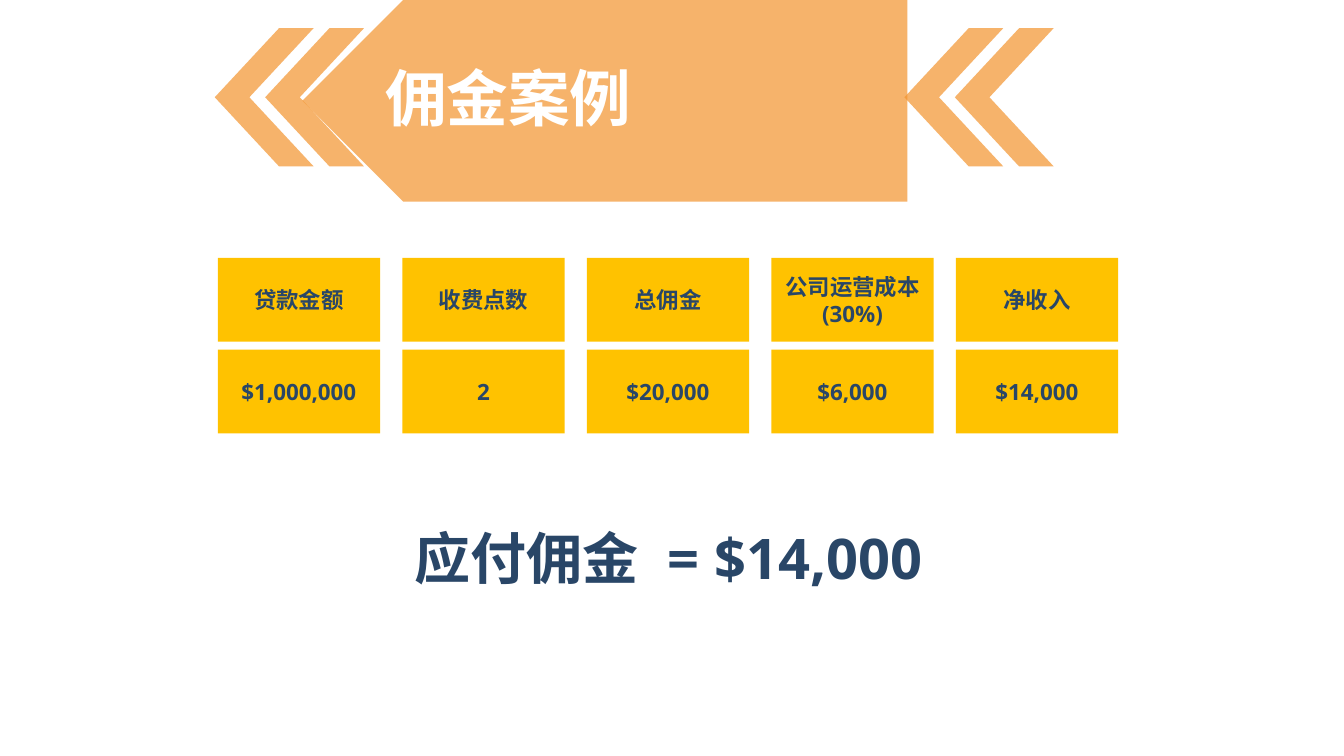
"""Build the commission example slide."""
from lxml import etree
from pptx import Presentation
from pptx.dml.color import RGBColor
from pptx.enum.shapes import MSO_SHAPE
from pptx.enum.text import MSO_ANCHOR, MSO_AUTO_SIZE, PP_ALIGN
from pptx.oxml.ns import qn
from pptx.util import Inches, Pt

CHEVRON, RECTANGLE = MSO_SHAPE.CHEVRON, MSO_SHAPE.RECTANGLE
TOP, MIDDLE = MSO_ANCHOR.TOP, MSO_ANCHOR.MIDDLE
LEFT, CENTER = PP_ALIGN.LEFT, PP_ALIGN.CENTER

TITLE = "佣金案例"
COLUMNS = [
    ("贷款金额", "$1,000,000"),
    ("收费点数", "2"),
    ("总佣金", "$20,000"),
    ("公司运营成本(30%)", "$6,000"),
    ("净收入", "$14,000"),
]
RESULT = ["应付佣金", " ", "= $14,000"]

FONT = "Noto Sans"
COLORS = {"orange": "F3932D", "yellow": "FFC200", "navy": "294667", "white": "FFFFFF"}
BANNER_TOP, BANNER_HEIGHT = 0.28, 1.37
BANNER_LEFT, BANNER_RIGHT, BANNER_POINT = 3.13, 9.41, 0.61
CHEVRON_LEFTS = [2.13, 2.63, 8.97, 9.47]
CHEVRON_WIDTH = 0.98
GRID_LEFT, GRID_TOP = 2.16, 2.56
CELL_WIDTH, CELL_HEIGHT = 1.61, 0.83
COLUMN_STEP, ROW_STEP = 1.83, 0.91


def paint(shape, color, opacity=100):
    shape.shadow.inherit = False
    shape.line.fill.background()
    shape.fill.solid()
    shape.fill.fore_color.rgb = RGBColor.from_string(COLORS[color])
    if opacity < 100:
        tone = shape.fill._xPr.find(qn("a:solidFill"))[0]
        etree.SubElement(tone, qn("a:alpha")).set("val", str(opacity * 1000))


def write(box, spans, size, color, align=CENTER, anchor=MIDDLE, inset=0.1):
    frame = box.text_frame
    frame.word_wrap = True
    frame.auto_size = MSO_AUTO_SIZE.NONE
    frame.vertical_anchor = anchor
    frame.margin_left = frame.margin_right = Inches(inset)
    frame.margin_top = frame.margin_bottom = Inches(inset)
    para = frame.paragraphs[0]
    para.alignment = align
    for text in spans:
        span = para.add_run()
        span.text = text
        span.font.size = Pt(size)
        span.font.bold = True
        span.font.color.rgb = RGBColor.from_string(COLORS[color])
        span.font.name = FONT
        etree.SubElement(span.font._element, qn("a:ea")).set("typeface", FONT)
    return para


def add_banner(page):
    bottom = BANNER_TOP + BANNER_HEIGHT
    middle = BANNER_TOP + BANNER_HEIGHT / 2
    shoulder, notch = BANNER_LEFT + BANNER_POINT, BANNER_RIGHT - BANNER_POINT
    outline = page.shapes.build_freeform(BANNER_RIGHT, bottom, scale=Inches(1))
    outline.add_line_segments([
        (shoulder, bottom), (BANNER_LEFT, middle), (shoulder, BANNER_TOP),
        (BANNER_RIGHT, BANNER_TOP), (notch, middle),
    ])
    paint(outline.convert_to_shape(), "orange", 70)
    for left in CHEVRON_LEFTS:
        chevron = page.shapes.add_shape(
            CHEVRON, Inches(left), Inches(BANNER_TOP),
            Inches(CHEVRON_WIDTH), Inches(BANNER_HEIGHT))
        chevron.adjustments[0] = 0.65
        chevron.rotation = 180
        paint(chevron, "orange", 70)


def add_title(page):
    title = page.shapes.title
    title.left, title.top = Inches(3.72), Inches(0.54)
    title.width, title.height = Inches(5.39), Inches(0.84)
    write(title, [TITLE], 44, "white", align=LEFT, inset=0.1)
    page.shapes._spTree.append(title._element)


def add_grid(page):
    for column, texts in enumerate(COLUMNS):
        for row, text in enumerate(texts):
            cell = page.shapes.add_shape(
                RECTANGLE,
                Inches(GRID_LEFT + column * COLUMN_STEP),
                Inches(GRID_TOP + row * ROW_STEP),
                Inches(CELL_WIDTH), Inches(CELL_HEIGHT))
            paint(cell, "yellow")
            write(cell, [text], 16, "navy")


def add_result(page):
    box = page.shapes.add_textbox(Inches(0.41), Inches(4.99), Inches(12.44), Inches(0.88))
    para = write(box, RESULT, 40, "navy", anchor=TOP)
    para.line_spacing = 1.15
    para.runs[1].font._element.set("spc", "1040")


def main():
    deck = Presentation()
    deck.slide_width, deck.slide_height = Inches(13.33), Inches(7.5)
    page = deck.slides.add_slide(deck.slide_layouts[5])
    add_banner(page)
    add_title(page)
    add_grid(page)
    add_result(page)
    deck.save("out.pptx")


if __name__ == "__main__":
    main()
